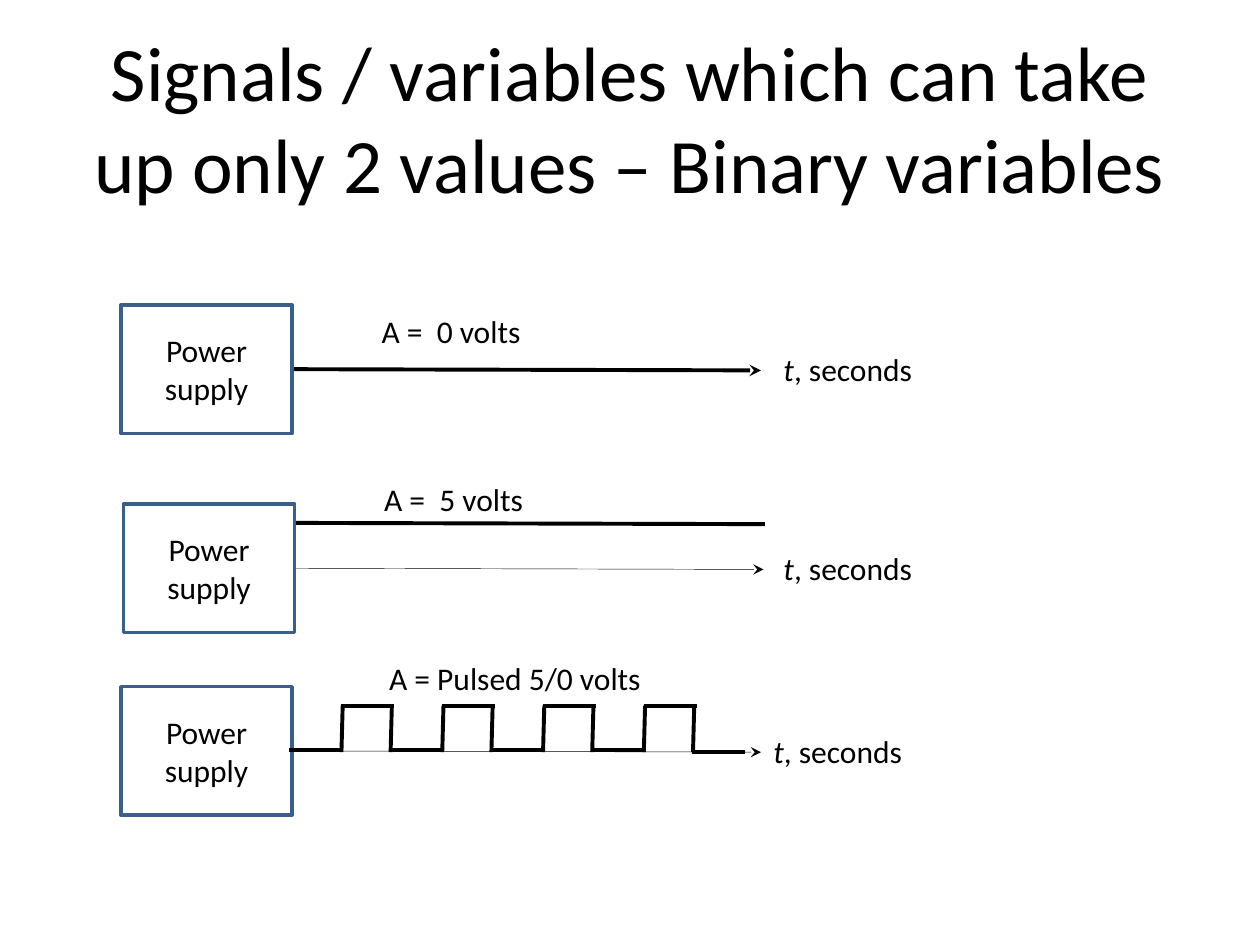
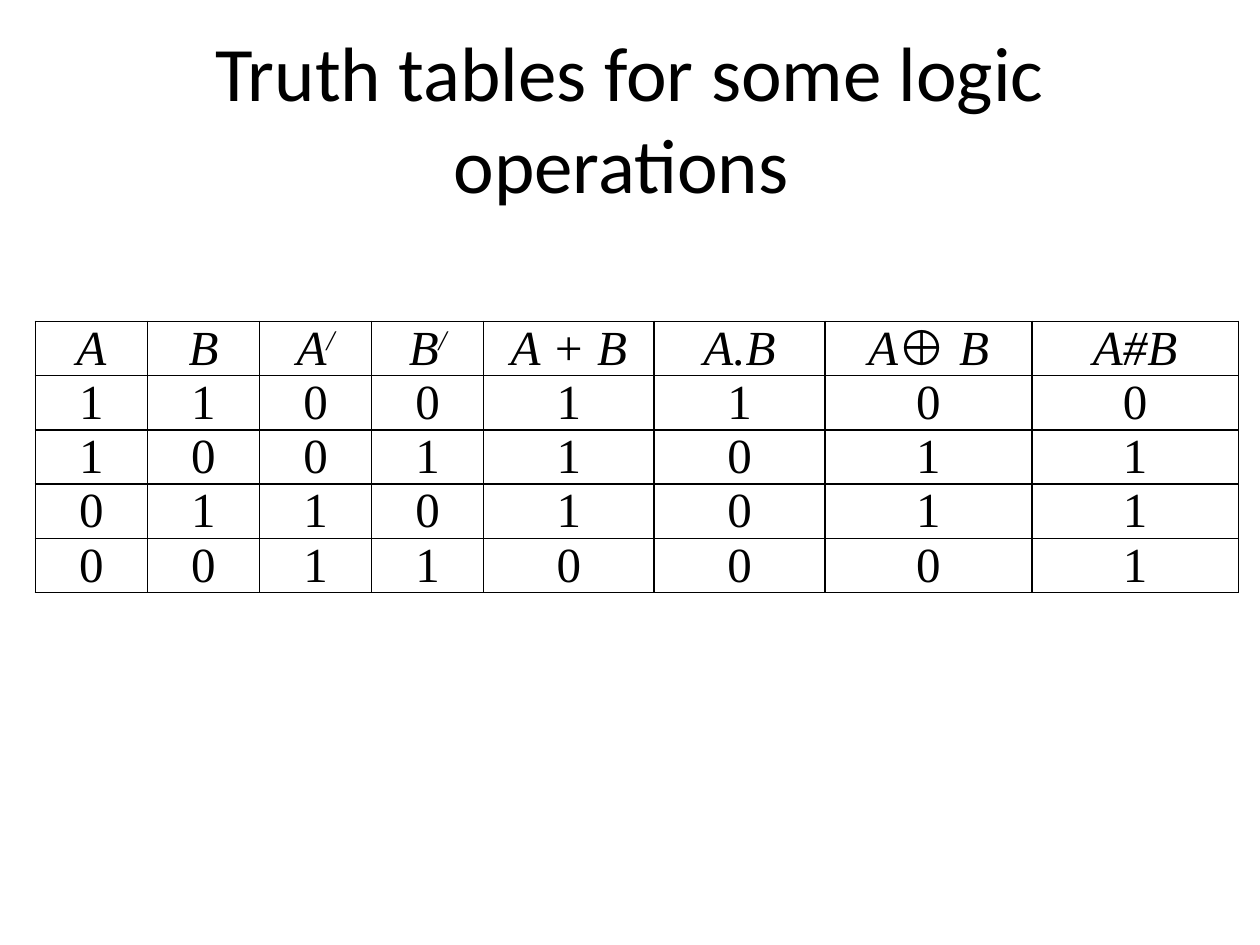
from dataclasses import dataclass

from lxml import etree
from pptx import Presentation
from pptx import util as u
from pptx.dml import color
from pptx.enum import shapes, text
from pptx.oxml import ns


@dataclass(frozen=True)
class Theme:
    ink: str = "000000"
    paper: str = "FFFFFF"
    outline: str = "3A5F8C"
    sans: str = "Calibri"
    serif: str = "Times New Roman"
    title_size: int = 44
    body_size: int = 18
    table_size: int = 28
    thick: float = 2.25
    thin: float = 0.25
    box_line: float = 2
    grid_line: float = 1


def apply(target, formats):
    for name, value in formats.items():
        setattr(target, name, value)


def inches(*lengths):
    return [u.Inches(length) for length in lengths]


def rgb(value):
    return color.RGBColor.from_string(value)


class Painter:
    def __init__(self, deck, theme):
        self.deck = deck
        self.theme = theme
        self.page = None

    def new_page(self, title):
        self.page = self.deck.slides.add_slide(self.deck.slide_layouts[5])
        box = self.page.shapes.title
        apply(box, dict(zip(("left", "top", "width", "height"), inches(0.5, 0.3, 9, 1.25))))
        apply(box.text_frame, {"word_wrap": True, "vertical_anchor": text.MSO_ANCHOR.MIDDLE})
        self.put_text(box.text_frame, [(title, {})], self.theme.title_size, centred=True)

    def put_text(self, frame, spans, size, font=None, centred=False):
        para = frame.paragraphs[0]
        para.alignment = text.PP_ALIGN.CENTER if centred else text.PP_ALIGN.LEFT
        for words, formats in spans:
            span = para.add_run()
            span.text = words
            base = {"name": font or self.theme.sans, "size": u.Pt(size)}
            apply(span.font, base | {k: v for k, v in formats.items() if k != "baseline"})
            span.font.color.rgb = rgb(self.theme.ink)
            if "baseline" in formats:
                span._r.get_or_add_rPr().set("baseline", formats["baseline"])

    def label(self, spans, left, top, width):
        box = self.page.shapes.add_textbox(*inches(left, top, width, 0.4))
        box.text_frame.word_wrap = True
        self.put_text(box.text_frame, spans, self.theme.body_size)

    def block(self, words, left, top, width, height):
        box = self.page.shapes.add_shape(
            shapes.MSO_SHAPE.RECTANGLE, *inches(left, top, width, height))
        box.shadow.inherit = False
        box.fill.solid()
        box.fill.fore_color.rgb = rgb(self.theme.paper)
        box.line.color.rgb = rgb(self.theme.outline)
        box.line.width = u.Pt(self.theme.box_line)
        apply(box.text_frame, {"word_wrap": True, "vertical_anchor": text.MSO_ANCHOR.MIDDLE})
        self.put_text(box.text_frame, [(words, {})], self.theme.body_size, centred=True)

    def line(self, x1, y1, x2, y2, weight, arrow=False):
        wire = self.page.shapes.add_connector(
            shapes.MSO_CONNECTOR.STRAIGHT, *inches(x1, y1, x2, y2))
        wire.line.color.rgb = rgb(self.theme.ink)
        wire.line.width = u.Pt(weight)
        if arrow:
            etree.SubElement(wire.line._get_or_add_ln(), ns.qn("a:tailEnd"), type="stealth")
        etree.SubElement(wire._element.spPr, ns.qn("a:effectLst"))

    def border(self, cell):
        props = cell._tc.get_or_add_tcPr()
        for order, side in enumerate(("lnL", "lnR", "lnT", "lnB")):
            edge = etree.Element(ns.qn(f"a:{side}"), w=str(u.Pt(self.theme.grid_line)))
            fill = etree.SubElement(edge, ns.qn("a:solidFill"))
            etree.SubElement(fill, ns.qn("a:srgbClr"), val=self.theme.ink)
            props.insert(order, edge)

    def table(self, rows, left, top, widths, row_height):
        frame = self.page.shapes.add_table(
            len(rows), len(widths),
            *inches(left, top, sum(widths), row_height * len(rows)))
        grid = frame.table
        apply(grid, {"first_row": False, "horz_banding": False})
        for column, width in zip(grid.columns, widths):
            column.width = u.Inches(width)
        margins = dict(zip(("margin_left", "margin_top", "margin_right", "margin_bottom"),
                           inches(0.06, 0, 0.06, 0)))
        for row, entries in zip(grid.rows, rows):
            row.height = u.Inches(row_height)
            for cell, spans in zip(row.cells, entries):
                apply(cell, margins)
                cell.fill.background()
                self.border(cell)
                self.put_text(cell.text_frame, spans, self.theme.table_size,
                              self.theme.serif, centred=True)


def supply(painter, left, top, caption, caption_left, caption_top, axis, axis_weight,
           unit_left, unit_top):
    width = 1.36
    start = left + width
    painter.line(start, axis, start + 3.72, axis + 0.01, axis_weight, arrow=True)
    painter.label([(caption, {})], caption_left, caption_top, 2.49)
    painter.block("Power supply", left, top, width, 1.02)
    painter.label([("t", {"italic": True}), (", seconds", {})], unit_left, unit_top, 1.27)


def pulses(painter, left, high, low, count):
    pitch, length, rise_gap = 0.8, 0.42, 0.39
    weight = painter.theme.thick
    for index in range(count):
        start = left + index * pitch
        rise = start + length
        painter.line(start, low, rise, low, weight)
        painter.line(rise, high, rise + length, high, weight)
        for edge in (rise, rise + rise_gap):
            painter.line(edge, low + 0.02, edge + 0.01, high, weight)
    end = left + count * pitch
    painter.line(end, low + 0.02, end + length, low + 0.02, weight)


def binary_signals(painter):
    theme = painter.theme
    painter.new_page("Signals / variables which can take up only 2 values – Binary variables")
    supply(painter, 0.96, 2.42, "A =  0 volts", 2.93, 2.43, 2.93, theme.thick, 6.12, 2.73)
    supply(painter, 0.98, 4, "A =  5 volts", 2.95, 3.76, 4.51, theme.thin, 6.12, 4.31)
    painter.line(2.35, 4.15, 6.07, 4.16, theme.thick)
    supply(painter, 0.96, 5.45, "A = Pulsed 5/0 volts", 2.99, 5.18, 5.96, theme.thin, 6.04, 5.76)
    pulses(painter, 2.29, 5.6, 5.95, 4)


def truth_tables(painter):
    painter.new_page("Truth tables for some logic operations ")
    slanted = {"italic": True}
    prime = ("/", {"italic": True, "baseline": "30000"})
    header = [[(name, slanted)] for name in ("A", "B", "A", "B", "A + B", "A.B", "A⊕ B", "A#B")]
    for negated in header[2:4]:
        negated.append(prime)
    values = ("11001100", "10011011", "01101011", "00110001")
    body = [[[(digit, {})] for digit in row] for row in values]
    widths = [0.89] * 4 + [1.35, 1.36] + [1.64] * 2
    painter.table([header] + body, 0.28, 2.55, widths, 0.39)


def main():
    deck = Presentation()
    apply(deck, {"slide_width": u.Inches(10), "slide_height": u.Inches(7.5)})
    painter = Painter(deck, Theme())
    binary_signals(painter)
    truth_tables(painter)
    deck.save("out.pptx")


if __name__ == "__main__":
    main()
